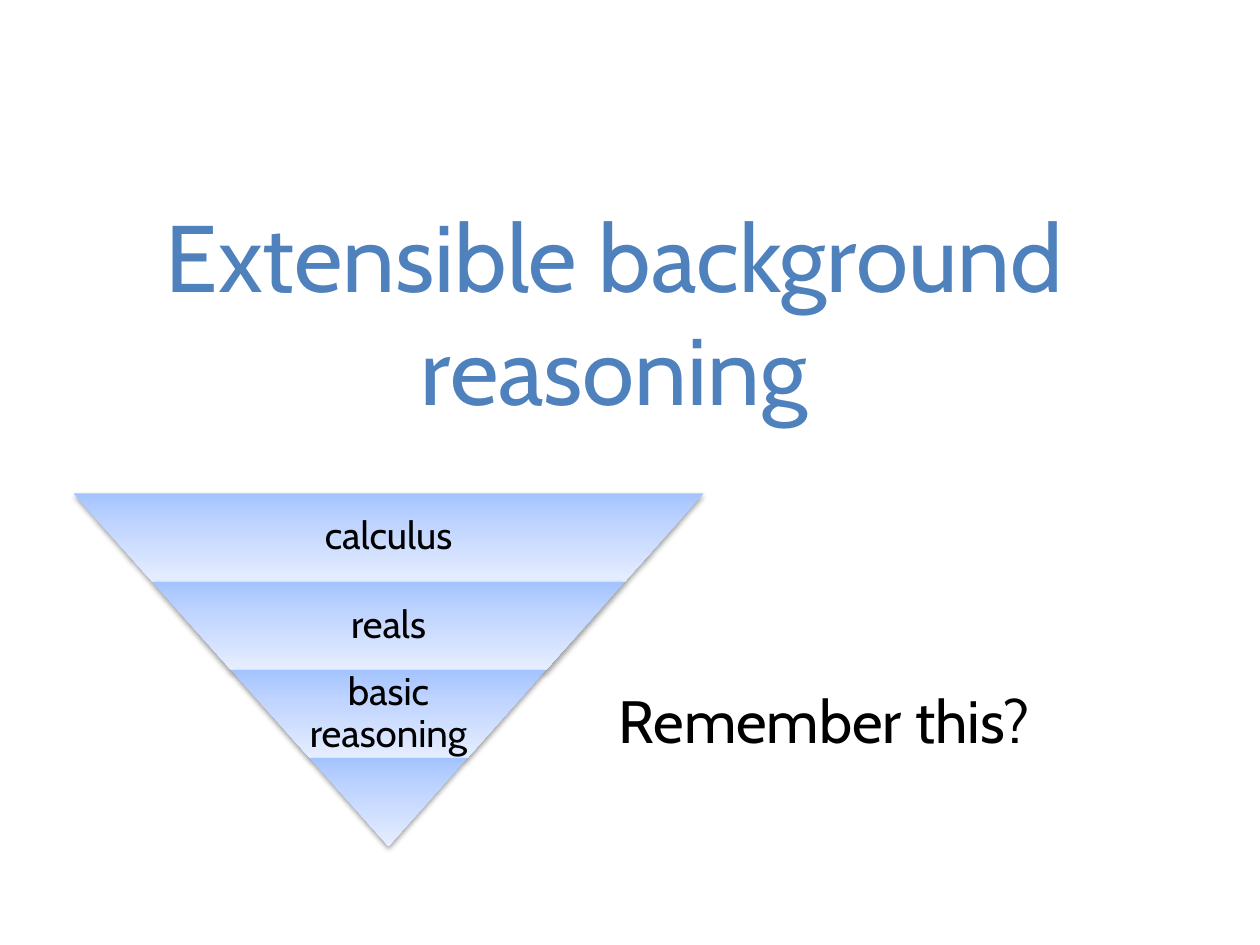
from dataclasses import dataclass

from lxml.etree import fromstring
from pptx import Presentation
from pptx.dml.color import RGBColor
from pptx.enum.shapes import MSO_SHAPE as Preset
from pptx.enum.text import MSO_ANCHOR as Anchor, MSO_AUTO_SIZE as AutoSize, PP_ALIGN as Align
from pptx.oxml.ns import nsdecls
from pptx.util import Pt


@dataclass(frozen=True)
class Theme:
    font: str = "Cabin"
    accent: str = "4F81BD"
    ink: str = "000000"
    stops: tuple = ((0, "A4C4FF"), (35, "BFD4FF"), (100, "E6EEFF"))
    title_size: float = 54
    layer_size: float = 22
    question_size: float = 34.1


THEME = Theme()
LAYERS = ("calculus", "reals", "basic reasoning", "")
LABEL_SHARE = 0.65


def set_all(target, values):
    for name, value in values.items():
        setattr(target, name, value)


def place(shape, box):
    set_all(shape, dict(zip(("left", "top", "width", "height"), map(Pt, box))))


def write(shape, text, size, color, inset=None, spacing=None):
    frame = shape.text_frame
    frame.text = text
    set_all(frame, {"word_wrap": True, "auto_size": AutoSize.NONE,
                    "vertical_anchor": Anchor.MIDDLE})
    if inset is not None:
        sides = ("left", "top", "right", "bottom")
        set_all(frame, {f"margin_{side}": Pt(inset) for side in sides})
    paragraph = frame.paragraphs[0]
    set_all(paragraph, {"alignment": Align.CENTER, "line_spacing": spacing})
    font = paragraph.runs[0].font
    set_all(font, {"name": THEME.font, "size": Pt(size)})
    font.color.rgb = RGBColor.from_string(color)


def shade(shape):
    stops = "".join(
        f'<a:gs pos="{position * 1000}"><a:srgbClr val="{color}"/></a:gs>'
        for position, color in THEME.stops)
    gradient = fromstring(
        f'<a:gradFill {nsdecls("a")} rotWithShape="1"><a:gsLst>{stops}</a:gsLst>'
        '<a:lin ang="16200000" scaled="1"/></a:gradFill>')
    shadow = fromstring(
        f'<a:effectLst {nsdecls("a")}><a:outerShdw blurRad="{Pt(3.1)}" dist="{Pt(1.6)}" '
        'dir="5400000" rotWithShape="0">'
        f'<a:srgbClr val="{THEME.ink}"><a:alpha val="38000"/></a:srgbClr>'
        '</a:outerShdw></a:effectLst>')
    shape.line.fill.background()
    properties = shape.element.spPr
    properties.insert(2, gradient)
    properties.append(shadow)


def add_title(slide, box):
    title = slide.shapes.title
    place(title, box)
    write(title, "Extensible background reasoning", THEME.title_size, THEME.accent)


def add_pyramid(slide, box):
    left, top, width, height = box
    count = len(LAYERS)
    layer_height = height / count
    slant = width / count / 2 / layer_height
    shapes = slide.shapes.add_group_shape().shapes
    for index, label in enumerate(LAYERS):
        layer_width = width * (count - index) / count
        layer_top = top + index * layer_height

        def centered(part_width):
            return left + (width - part_width) / 2, layer_top, part_width, layer_height

        layer = shapes.add_shape(Preset.TRAPEZOID, *map(Pt, centered(layer_width)))
        layer.adjustments[0] = slant
        layer.rotation = 180
        shade(layer)
        if label:
            text_box = shapes.add_textbox(*map(Pt, centered(layer_width * LABEL_SHARE)))
            write(text_box, label, THEME.layer_size, THEME.ink, inset=2.2, spacing=0.9)


def add_question(slide, box):
    text_box = slide.shapes.add_textbox(*map(Pt, box))
    write(text_box, "Remember this?", THEME.question_size, THEME.ink)


def main():
    presentation = Presentation()
    set_all(presentation, {"slide_width": Pt(720), "slide_height": Pt(540)})
    slide = presentation.slides.add_slide(presentation.slide_layouts[0])
    subtitle = slide.placeholders[1].element
    subtitle.getparent().remove(subtitle)
    add_title(slide, (42, 84, 618, 188))
    add_pyramid(slide, (42, 282, 360, 201.6))
    add_question(slide, (342, 384, 258, 54))
    presentation.save("out.pptx")


if __name__ == "__main__":
    main()
